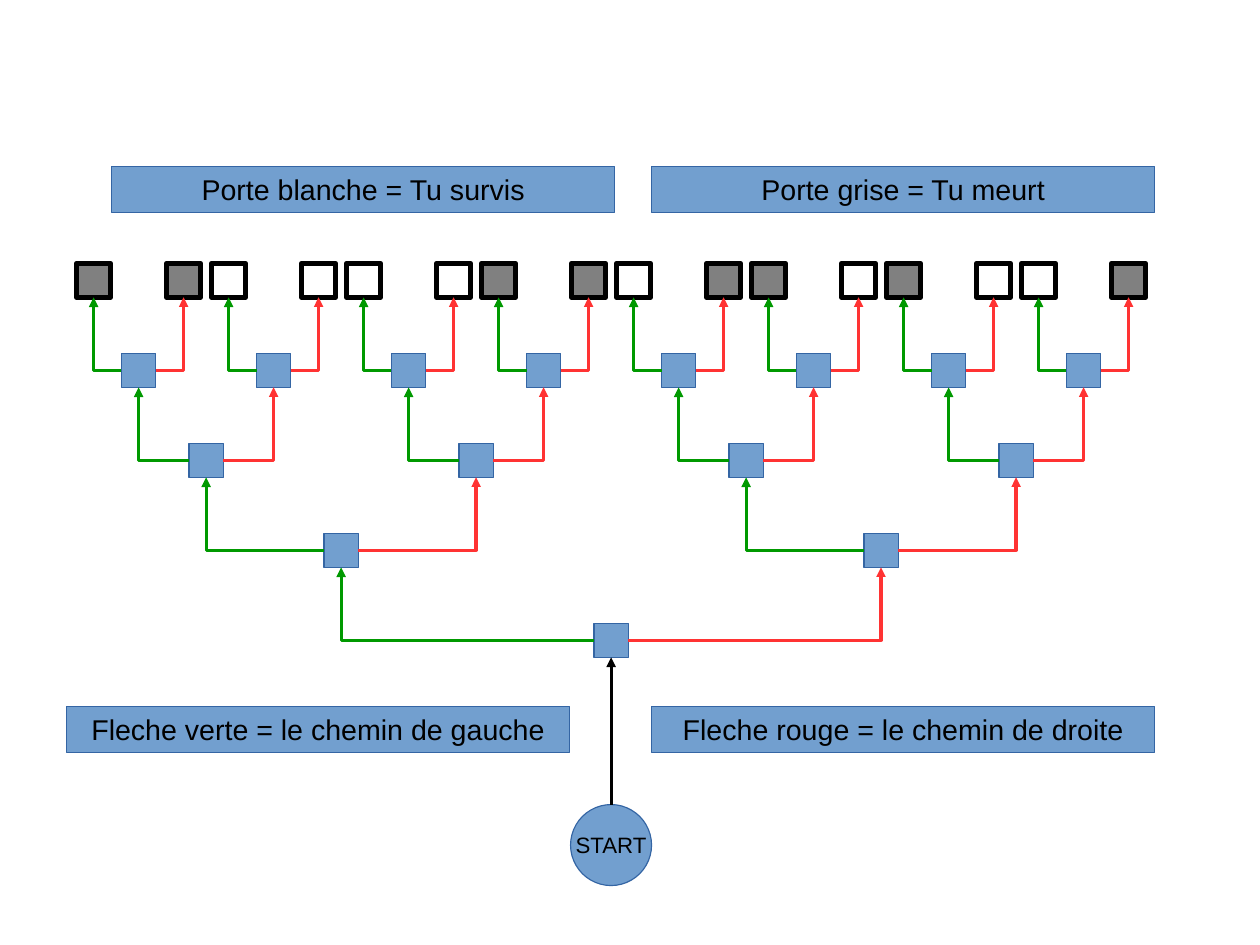
from dataclasses import dataclass

from pptx import Presentation
from pptx.dml.color import RGBColor
from pptx.enum.shapes import MSO_CONNECTOR, MSO_SHAPE
from pptx.enum.text import MSO_ANCHOR, PP_ALIGN
from pptx.oxml.ns import qn
from pptx.oxml.xmlchemy import OxmlElement
from pptx.shapes.autoshape import Shape
from pptx.shapes.connector import Connector
from pptx.slide import Slide
from pptx.util import Emu, Pt

PX = 3600  # a tenth of a millimetre
BLUE, BLUE_EDGE, BLACK = "729FCF", "3465A4", "000000"
WHITE, GREY = "FFFFFF", "808080"
GREEN, RED = "009900", "FF3333"

ROOM = 76
ROOT_X, ROOT_TOP = 1358, 1385
LEVEL_STEP = 200
SPREADS = (600, 300, 150, 100)
DOORS = "GGWWWWGGWGGWGWWG"
DOOR_FILLS = {"G": GREY, "W": WHITE}
BRANCHES = ((-1, GREEN), (1, RED))
START_SIZE, START_TOP = 180, 1788


@dataclass(frozen=True)
class Box:
    left: int
    top: int
    width: int
    height: int
    fill: str = BLUE
    edge: str = BLUE_EDGE
    edge_pt: int = 0
    kind: MSO_SHAPE = MSO_SHAPE.RECTANGLE
    text: str = ""
    size: int = 18


@dataclass(frozen=True)
class Legend:
    left: int
    top: int
    text: str


LEGENDS = (
    Legend(248, 370, "Porte blanche = Tu survis"),
    Legend(1448, 370, "Porte grise = Tu meurt"),
    Legend(148, 1570, "Fleche verte = le chemin de gauche"),
    Legend(1448, 1570, "Fleche rouge = le chemin de droite"),
)


def px(n: int) -> Emu:
    return Emu(n * PX)


def rgb(value: str) -> RGBColor:
    return RGBColor.from_string(value)


def add_box(s: Slide, box: Box) -> Shape:
    sp = s.shapes.add_shape(
        box.kind, px(box.left), px(box.top), px(box.width), px(box.height))
    sp.shadow.inherit = False
    sp.fill.solid()
    sp.fill.fore_color.rgb = rgb(box.fill)
    sp.line.color.rgb = rgb(box.edge)
    sp.line.width = Pt(box.edge_pt)
    if box.text:
        write(sp, box.text, box.size)
    return sp


def write(sp: Shape, text: str, size: int) -> None:
    tf = sp.text_frame
    tf.word_wrap = False
    tf.vertical_anchor = MSO_ANCHOR.MIDDLE
    p = tf.paragraphs[0]
    p.alignment = PP_ALIGN.CENTER
    r = p.add_run()
    r.text = text
    for name, value in {"name": "Arial", "size": Pt(size)}.items():
        setattr(r.font, name, value)
    r.font.color.rgb = rgb(BLACK)


def add_arrow(s: Slide, kind: MSO_CONNECTOR, start: tuple[int, int],
              end: tuple[int, int], color: str) -> Connector:
    cn = s.shapes.add_connector(kind, *(px(n) for n in start + end))
    cn.line.color.rgb = rgb(color)
    cn.line.width = Pt(0)
    tail = OxmlElement("a:tailEnd")
    tail.set("type", "triangle")
    cn.line._get_or_add_ln().append(tail)
    cn._element.spPr.append(OxmlElement("a:effectLst"))
    return cn


def add_branch(s: Slide, start: tuple[int, int], end: tuple[int, int],
               color: str) -> None:
    """Draw an arrow with one corner: sideways first, then up."""
    cn = add_arrow(s, MSO_CONNECTOR.ELBOW, start, end, color)
    spPr = cn._element.spPr
    spPr.find(qn("a:prstGeom")).set("prst", "bentConnector2")
    if end[0] < start[0]:
        xfrm = spPr.find(qn("a:xfrm"))
        for flip in ("flipH", "flipV"):
            xfrm.attrib.pop(flip, None)
        xfrm.set("rot", "10800000")


def add_tree(s: Slide, x: int, level: int, doors: str) -> Shape:
    """Draw the room centred on x and everything that it leads to."""
    top = ROOT_TOP - level * LEVEL_STEP
    left = x - ROOM // 2
    if level == len(SPREADS):
        return add_box(s, Box(left, top, ROOM, ROOM, DOOR_FILLS[doors], BLACK, 3))
    room = add_box(s, Box(left, top, ROOM, ROOM))
    half = len(doors) // 2
    for (side, color), part in zip(BRANCHES, (doors[:half], doors[half:])):
        child_x = x + side * SPREADS[level]
        add_tree(s, child_x, level + 1, part)
        add_branch(s, (x + side * ROOM // 2, top + ROOM // 2),
                   (child_x, top - LEVEL_STEP + ROOM), color)
    return room


def main() -> None:
    prs = Presentation()
    prs.slide_width, prs.slide_height = px(2800), px(2100)
    s = prs.slides.add_slide(prs.slide_layouts[6])

    root = add_tree(s, ROOT_X, 0, DOORS)
    start = add_box(s, Box(ROOT_X - START_SIZE // 2, START_TOP, START_SIZE, START_SIZE,
                           kind=MSO_SHAPE.OVAL, text="START", size=14))
    entry = add_arrow(s, MSO_CONNECTOR.STRAIGHT, (ROOT_X, START_TOP),
                      (ROOT_X, ROOT_TOP + ROOM), BLACK)
    entry.begin_connect(start, 0)
    entry.end_connect(root, 2)
    for legend in LEGENDS:
        add_box(s, Box(legend.left, legend.top, 1118, 102, text=legend.text))

    prs.save("out.pptx")


if __name__ == "__main__":
    main()
